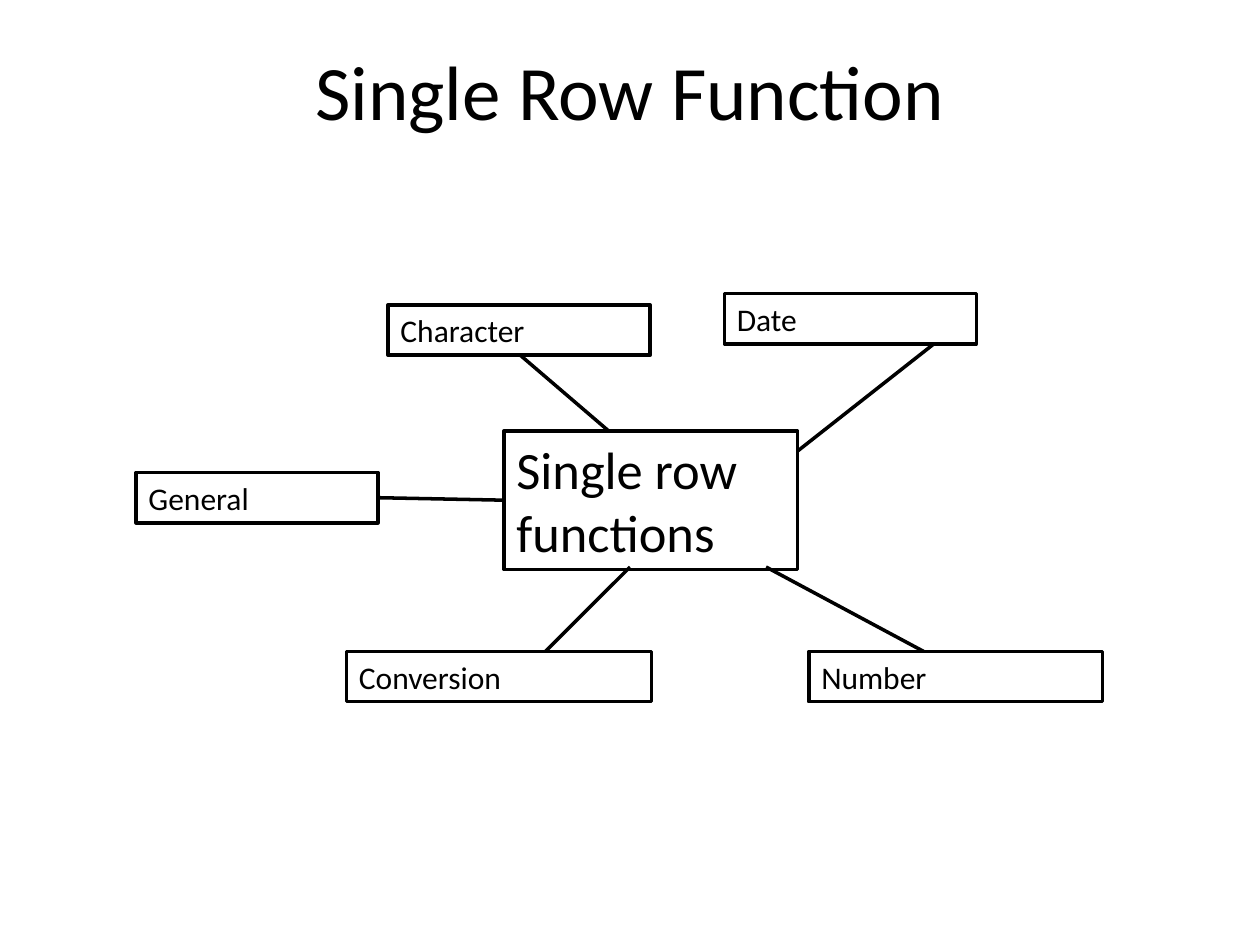
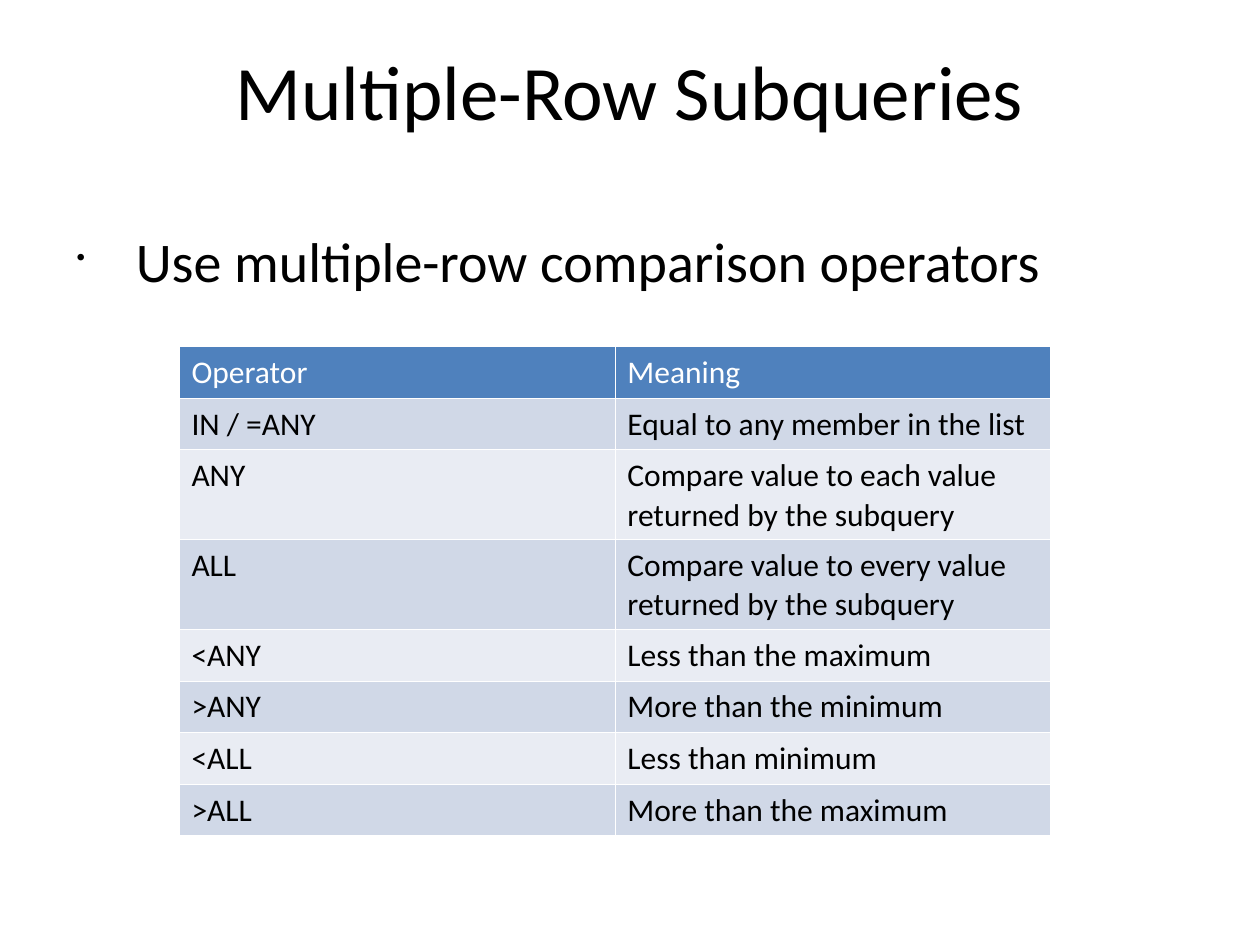
from lxml import etree
from pptx import Presentation
from pptx.dml.color import RGBColor
from pptx.enum import shapes, text
from pptx.oxml import ns
from pptx.util import Inches, Pt

FONT = "Calibri"
HUES = {
    "ink": "000000",
    "paper": "FFFFFF",
    "head": "4F81BD",
    "odd": "D0D8E7",
    "even": "E9ECF3",
}
FRAME = {
    "word_wrap": True,
    "vertical_anchor": text.MSO_ANCHOR.TOP,
    "margin_left": Inches(0.1),
    "margin_right": Inches(0.1),
    "margin_top": Inches(0.05),
    "margin_bottom": Inches(0.05),
}
LEFT = {"alignment": text.PP_ALIGN.LEFT}
TITLE = {"alignment": text.PP_ALIGN.CENTER}
POINT = {**LEFT, "space_before": Pt(6.4), "space_after": Pt(14.3)}
CELL = {**LEFT, "line_spacing": 1.02}

HUB = ("Single row functions", 4, 3.42, 2.33, 1.1)
LEAVES = [
    ("Character", 3.08, 2.42, 2.08, (4.13, 2.82), (4.83, 3.42)),
    ("General", 1.08, 3.75, 1.92, (3, 3.95), (4, 3.97)),
    ("Conversion", 2.75, 5.17, 2.42, (4.33, 5.17), (5, 4.5)),
    ("Number", 6.42, 5.17, 2.33, (7.33, 5.17), (6.08, 4.5)),
    ("Date", 5.75, 2.33, 2, (7.5, 2.66), (6.33, 3.58)),
]
ROWS = [
    ("Operator", "Meaning", 0.41),
    ("IN / =ANY", "Equal to any member in the list", 0.41),
    ("ANY", "Compare value to each value returned by the subquery", 0.71),
    ("ALL", "Compare value to every value returned by the subquery", 0.71),
    ("<ANY", "Less than the maximum", 0.41),
    (">ANY", "More than the minimum", 0.41),
    ("<ALL", "Less than minimum", 0.41),
    (">ALL", "More than the maximum", 0.41),
]


def hue(name):
    return RGBColor.from_string(HUES[name])


def apply(item, form):
    for key, value in form.items():
        setattr(item, key, value)


def child(node, tag, **attrs):
    return etree.SubElement(node, ns.qn(tag), attrs)


def write(frame, words, size, form, tone="ink"):
    para = frame.paragraphs[0]
    apply(para, form)
    run = para.add_run()
    run.text = words
    apply(run.font, {"name": FONT, "size": Pt(size)})
    run.font.color.rgb = hue(tone)
    return para


def label(slide, words, area, size, form):
    frame = slide.shapes.add_textbox(*map(Inches, area)).text_frame
    apply(frame, FRAME)
    return write(frame, words, size, form)


def page(deck, title):
    slide = deck.slides.add_slide(deck.slide_layouts[6])
    label(slide, title, (0.5, 0.3, 9, 1.25), 44, TITLE)
    return slide


def stroke(line):
    line.color.rgb = hue("ink")
    line.width = Pt(2)


def box(slide, words, x, y, wide, high=0.4, size=18):
    shape = slide.shapes.add_shape(
        shapes.MSO_SHAPE.RECTANGLE, *map(Inches, (x, y, wide, high)))
    shape.shadow.inherit = False
    shape.fill.solid()
    shape.fill.fore_color.rgb = hue("paper")
    stroke(shape.line)
    apply(shape.text_frame, FRAME)
    write(shape.text_frame, words, size, LEFT)


def link(slide, start, end):
    line = slide.shapes.add_connector(
        shapes.MSO_CONNECTOR.STRAIGHT, *map(Inches, start + end))
    stroke(line.line)
    child(line._element.spPr, "a:effectLst")


def bullet(para):
    props = para._p.get_or_add_pPr()
    props.set("marL", str(Inches(0.48)))
    props.set("indent", str(Inches(-0.47)))
    child(child(props, "a:buClr"), "a:srgbClr", val=HUES["ink"])
    child(props, "a:buSzPct", val="45000")
    child(props, "a:buChar", char="•")


def border(cell):
    props = cell._tc.get_or_add_tcPr()
    for side in "LRTB":
        line = child(props, f"a:ln{side}", w=str(Pt(0.45)))
        child(child(line, "a:solidFill"), "a:srgbClr", val=HUES["paper"])


def grid(slide, rows, x, y, wide):
    high = sum(row[-1] for row in rows)
    table = slide.shapes.add_table(
        len(rows), 2, *map(Inches, (x, y, wide, high))).table
    for r, (*words, tall) in enumerate(rows):
        table.rows[r].height = Inches(tall)
        band = "head" if r == 0 else "odd" if r % 2 else "even"
        tone = "ink" if r else "paper"
        for c, word in enumerate(words):
            cell = table.cell(r, c)
            border(cell)
            cell.fill.solid()
            cell.fill.fore_color.rgb = hue(band)
            write(cell.text_frame, word, 18, CELL, tone)


def main():
    deck = Presentation()
    apply(deck, {"slide_width": Inches(10), "slide_height": Inches(7.5)})

    slide = page(deck, "Single Row Function")
    box(slide, *HUB, size=30)
    for *leaf, start, end in LEAVES:
        link(slide, start, end)
        box(slide, *leaf)

    slide = page(deck, "Multiple-Row Subqueries")
    bullet(label(slide, "Use multiple-row comparison operators",
                 (0.5, 1.75, 9, 4.95), 32, POINT))
    grid(slide, ROWS, 1.42, 2.75, 6.92)

    deck.save("out.pptx")


if __name__ == "__main__":
    main()
